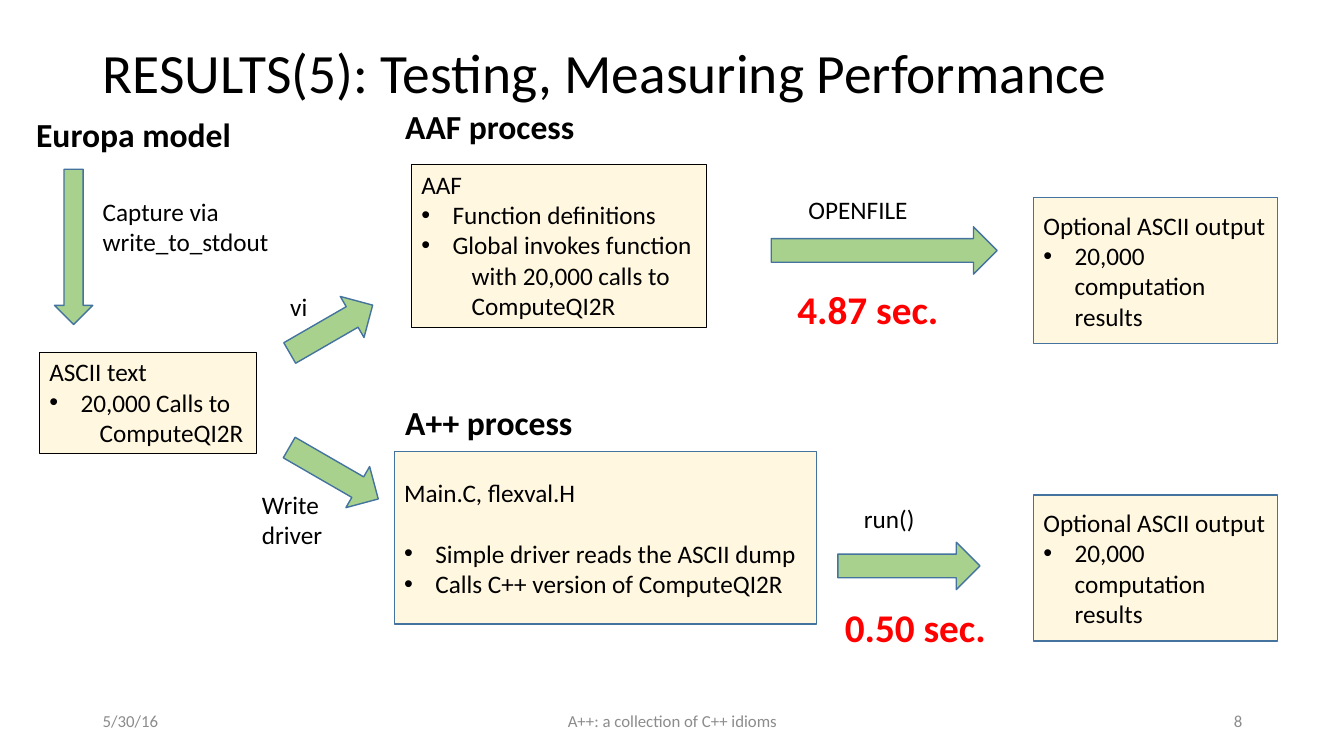
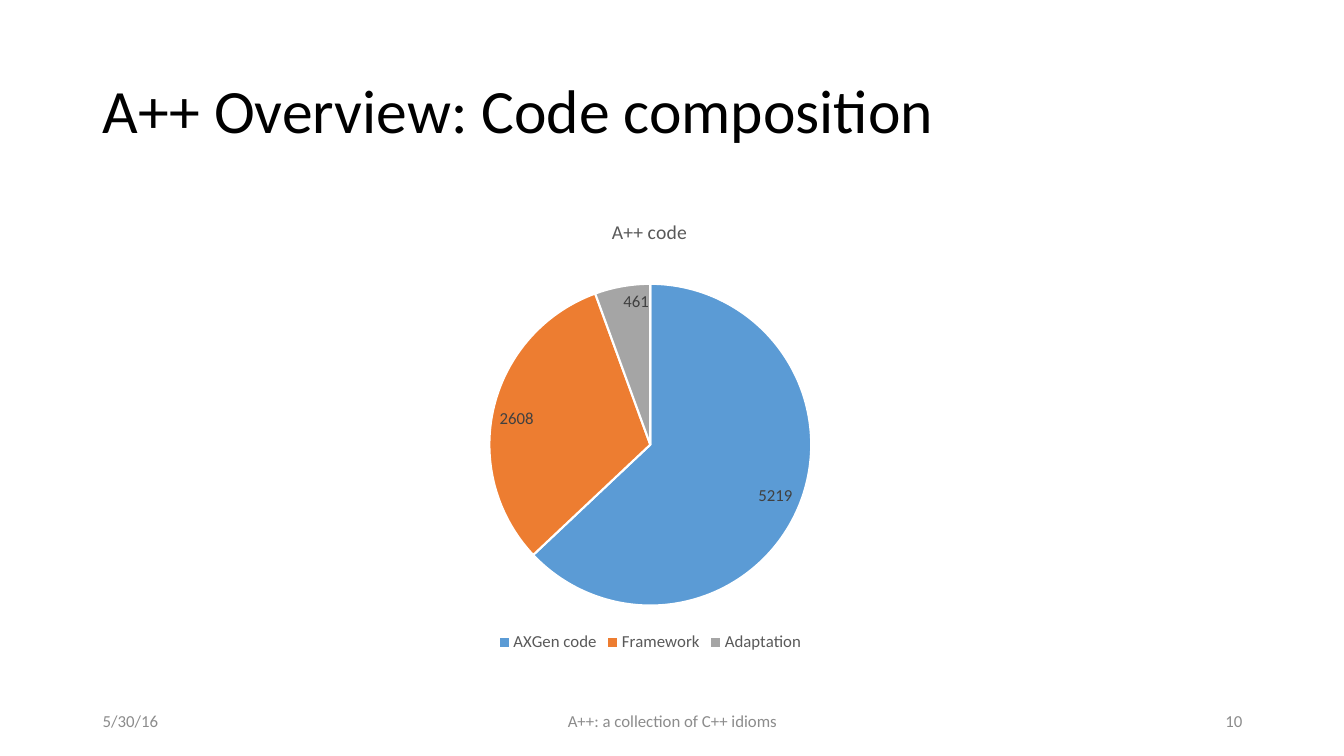
"""Build two slides on A++: measured performance and code composition."""
import pptx
import pptx.chart.data
import pptx.dml.color
import pptx.enum.chart
import pptx.enum.shapes
import pptx.enum.text
import pptx.oxml
import pptx.oxml.ns
import pptx.util

Inches, Pt = pptx.util.Inches, pptx.util.Pt
RGB = pptx.dml.color.RGBColor
ALIGN = pptx.enum.text.PP_ALIGN
ANCHOR = pptx.enum.text.MSO_ANCHOR
FIT = pptx.enum.text.MSO_AUTO_SIZE
SHAPE = pptx.enum.shapes.MSO_SHAPE
qn = pptx.oxml.ns.qn

BLACK, RED, WHITE = RGB(0, 0, 0), RGB(255, 0, 0), RGB(255, 255, 255)
FOOTER_GRAY, CHART_GRAY, LABEL_GRAY = RGB(0x8C, 0x8C, 0x8C), RGB(0x59, 0x59, 0x59), RGB(0x40, 0x40, 0x40)
CREAM, GREEN, BORDER_BLUE = RGB(0xFF, 0xD9, 0x66), RGB(0xA9, 0xD1, 0x8E), RGB(0x43, 0x73, 0x9E)
SLICE_COLORS = [RGB(0x5B, 0x9B, 0xD5), RGB(0xED, 0x7D, 0x31), RGB(0xA5, 0xA5, 0xA5)]

FONT = "Calibri"
BODY = {"size": Pt(18), "name": FONT}
HEADING = {"size": Pt(24), "name": FONT, "bold": True}
TIMING = {"size": Pt(28), "name": FONT, "bold": True}
SMALL = {"size": Pt(12), "name": FONT}
CHART_TITLE = {"size": Pt(14), "name": FONT, "bold": False}

MARGIN, FOOTER_TOP, FOOTER_HEIGHT = 0.92, 6.95, 0.4
DATE, FOOTER = "5/30/16", "A++: a collection of C++ idioms"

HEADINGS = [
    ("Europa model", (0.26, 1.08, 2.15, 0.5)),
    ("AAF process", (3.92, 1, 1.89, 0.5)),
    ("A++ process", (3.92, 3.94, 1.88, 0.5)),
]
STEPS = [
    ("Capture via\nwrite_to_stdout", (0.92, 1.9, 1.86, 0.71)),
    ("vi", (2.78, 2.84, 0.37, 0.4)),
    ("Write\ndriver", (2.5, 4.8, 0.81, 0.71)),
    ("OPENFILE", (7.92, 1.88, 1.19, 0.4)),
    ("run()", (8.47, 4.94, 0.71, 0.4)),
]
TIMINGS = [
    ("4.87 sec.", (7.81, 2.78, 1.62, 0.57)),
    ("0.50 sec.", (8.28, 5.94, 1.62, 0.57)),
]
ARROWS = [
    (SHAPE.DOWN_ARROW, (0.54, 1.68, 0.38, 1.54), 0),
    (SHAPE.RIGHT_ARROW, (2.81, 3.03, 0.95, 0.47), -30),
    (SHAPE.RIGHT_ARROW, (2.8, 4.46, 1.02, 0.47), 30),
    (SHAPE.RIGHT_ARROW, (7.65, 2.25, 2.24, 0.47), 0),
    (SHAPE.RIGHT_ARROW, (8.31, 5.38, 1.41, 0.47), 0),
]
PLAIN, BULLET, CONTINUED = "plain", "bullet", "continued"
INDENTS = {BULLET: (0.31, -0.31), CONTINUED: (0.5, 0)}
FITTED_BOXES = [
    ((0.39, 3.49, 2.15, 1.01),
     [(PLAIN, "ASCII text"), (BULLET, "20,000 Calls to"), (CONTINUED, "ComputeQI2R")]),
    ((4.08, 1.63, 2.92, 1.62),
     [(PLAIN, "AAF"), (BULLET, "Function definitions"), (BULLET, "Global invokes function"),
      (CONTINUED, "with 20,000 calls to"), (CONTINUED, "ComputeQI2R")]),
]
DRIVER_BOX = ((3.91, 4.48, 4.19, 1.71),
              [(PLAIN, "Main.C, flexval.H"), (BULLET, "Simple driver reads the ASCII dump"),
               (BULLET, "Calls C++ version of ComputeQI2R")])
OUTPUT_LINES = [(PLAIN, "Optional ASCII output"), (BULLET, "20,000 computation results")]
OUTPUT_TOPS = [1.96, 4.91]

CODE_SIZES = {"AXGen code": 5219, "Framework": 2608, "Adaptation": 461}
CODE_CHART = (3.48, 1.95, 5.94, 4.56)


def inches(place):
    return [Inches(length) for length in place]


def style(font, formats, color):
    for name, value in formats.items():
        setattr(font, name, value)
    font.color.rgb = color


def add_label(slide, text, place, formats, color=BLACK, align=ALIGN.LEFT,
              anchor=ANCHOR.TOP, wrap=False):
    frame = slide.shapes.add_textbox(*inches(place)).text_frame
    frame.word_wrap = wrap
    frame.auto_size = FIT.NONE if wrap else FIT.SHAPE_TO_FIT_TEXT
    frame.vertical_anchor = anchor
    frame.text = text
    for paragraph in frame.paragraphs:
        paragraph.alignment = align
        style(paragraph.font, formats, color)


def add_titled_slide(deck, title, size, height, number):
    slide = deck.slides.add_slide(deck.slide_layouts[5])
    heading = slide.shapes.title
    heading.left, heading.top, heading.width, heading.height = inches((MARGIN, 0.4, 11.5, height))
    frame = heading.text_frame
    frame.text = title
    frame.auto_size = FIT.NONE
    frame.vertical_anchor = ANCHOR.MIDDLE
    paragraph = frame.paragraphs[0]
    paragraph.alignment = ALIGN.LEFT
    paragraph.line_spacing = 0.9
    style(paragraph.font, {"size": Pt(size), "name": FONT}, BLACK)
    for text, left, width, align in [(DATE, MARGIN, 3, ALIGN.LEFT),
                                     (FOOTER, 4.42, 4.5, ALIGN.CENTER),
                                     (str(number), 9.42, 3, ALIGN.RIGHT)]:
        add_label(slide, text, (left, FOOTER_TOP, width, FOOTER_HEIGHT), SMALL,
                  FOOTER_GRAY, align, ANCHOR.MIDDLE, wrap=True)
    return slide


def add_outlined(slide, kind, place, fill, border, width):
    shape = slide.shapes.add_shape(kind, *inches(place))
    shape.shadow.inherit = False
    shape.fill.solid()
    shape.fill.fore_color.rgb = fill
    shape.line.color.rgb = border
    shape.line.width = Pt(width)
    return shape


def indent(paragraph, kind):
    properties = paragraph._p.get_or_add_pPr()
    left, first = INDENTS[kind]
    properties.set("marL", str(Inches(left)))
    properties.set("indent", str(Inches(first)))
    if kind == BULLET:
        for tag, key, value in [("a:buFont", "typeface", "Arial"), ("a:buChar", "char", "•")]:
            properties.append(pptx.oxml.parse_xml(
                f'<{tag} {pptx.oxml.ns.nsdecls("a")} {key}="{value}"/>'))


def add_box(slide, place, lines, fitted=False):
    border, width = (BLACK, 0.25) if fitted else (BORDER_BLUE, 1)
    box = add_outlined(slide, SHAPE.RECTANGLE, place, CREAM, border, width)
    tint = box.fill._xPr.find(qn("a:solidFill"))[0]
    tint.append(pptx.oxml.parse_xml(f'<a:alpha {pptx.oxml.ns.nsdecls("a")} val="20000"/>'))
    frame = box.text_frame
    frame.word_wrap = not fitted
    frame.auto_size = FIT.SHAPE_TO_FIT_TEXT if fitted else FIT.NONE
    frame.vertical_anchor = ANCHOR.TOP if fitted else ANCHOR.MIDDLE
    frame.text = "\n".join(text for _, text in lines)
    for paragraph, (kind, _) in zip(frame.paragraphs, lines):
        paragraph.alignment = ALIGN.LEFT
        style(paragraph.font, BODY, BLACK)
        if kind in INDENTS:
            indent(paragraph, kind)
    return frame


def place_in_chart(part, index, fractions, target=""):
    layout = part.find(qn("c:layout"))
    if layout is not None:
        part.remove(layout)
    modes = "".join(f'<c:{key}Mode val="edge"/>' for key in fractions if key in "xy")
    values = "".join(f'<c:{key} val="{value}"/>' for key, value in fractions.items())
    part.insert(index, pptx.oxml.parse_xml(
        f'<c:layout {pptx.oxml.ns.nsdecls("c")}><c:manualLayout>'
        f'{target}{modes}{values}</c:manualLayout></c:layout>'))


def build_performance(deck):
    slide = add_titled_slide(deck, "RESULTS(5): Testing, Measuring Performance", 39.6, 0.7, 8)
    for place, lines in FITTED_BOXES:
        add_box(slide, place, lines, fitted=True)
    driver = add_box(slide, *DRIVER_BOX)
    driver.paragraphs[0].space_after = Pt(22)
    for top in OUTPUT_TOPS:
        add_box(slide, (10.25, top, 2.42, 1.45), OUTPUT_LINES)
    for kind, place, angle in ARROWS:
        add_outlined(slide, kind, place, GREEN, BORDER_BLUE, 1).rotation = angle
    for labels, formats, color in [(HEADINGS, HEADING, BLACK), (STEPS, BODY, BLACK),
                                   (TIMINGS, TIMING, RED)]:
        for text, place in labels:
            add_label(slide, text, place, formats, color)


def build_composition(deck):
    slide = add_titled_slide(deck, "A++ Overview: Code composition", 44, 1.45, 10)
    data = pptx.chart.data.CategoryChartData()
    data.categories = list(CODE_SIZES)
    data.add_series("Series 1", list(CODE_SIZES.values()))
    chart = slide.shapes.add_chart(pptx.enum.chart.XL_CHART_TYPE.PIE,
                                   *inches(CODE_CHART), data).chart
    style(chart.font, SMALL, BLACK)

    chart.has_title = True
    chart.chart_title.text_frame.text = "A++ code"
    style(chart.chart_title.text_frame.paragraphs[0].runs[0].font, CHART_TITLE, CHART_GRAY)
    place_in_chart(chart.chart_title._element, 1, {"x": 0.43, "y": 0.04})

    chart.has_legend = True
    chart.legend.position = pptx.enum.chart.XL_LEGEND_POSITION.BOTTOM
    chart.legend.include_in_layout = False
    style(chart.legend.font, SMALL, CHART_GRAY)

    pie = chart.plots[0]
    pie.vary_by_categories = True
    pie.has_data_labels = True
    pie.data_labels.show_value = True
    pie.data_labels.show_percentage = False
    pie.data_labels.position = pptx.enum.chart.XL_LABEL_POSITION.INSIDE_END
    style(pie.data_labels.font, SMALL, LABEL_GRAY)
    for index, color in enumerate(SLICE_COLORS):
        part = pie.series[0].points[index].format
        part.fill.solid()
        part.fill.fore_color.rgb = color
        part.line.color.rgb = WHITE
        part.line.width = Pt(1.5)
    plot_area = chart._chartSpace.find(f'{qn("c:chart")}/{qn("c:plotArea")}')
    place_in_chart(plot_area, 0, {"x": 0.23, "y": 0.19, "w": 0.54, "h": 0.7},
                   '<c:layoutTarget val="inner"/>')


def main():
    deck = pptx.Presentation()
    deck.slide_width, deck.slide_height = Inches(13.33), Inches(7.5)
    build_performance(deck)
    build_composition(deck)
    deck.save("out.pptx")


if __name__ == "__main__":
    main()
